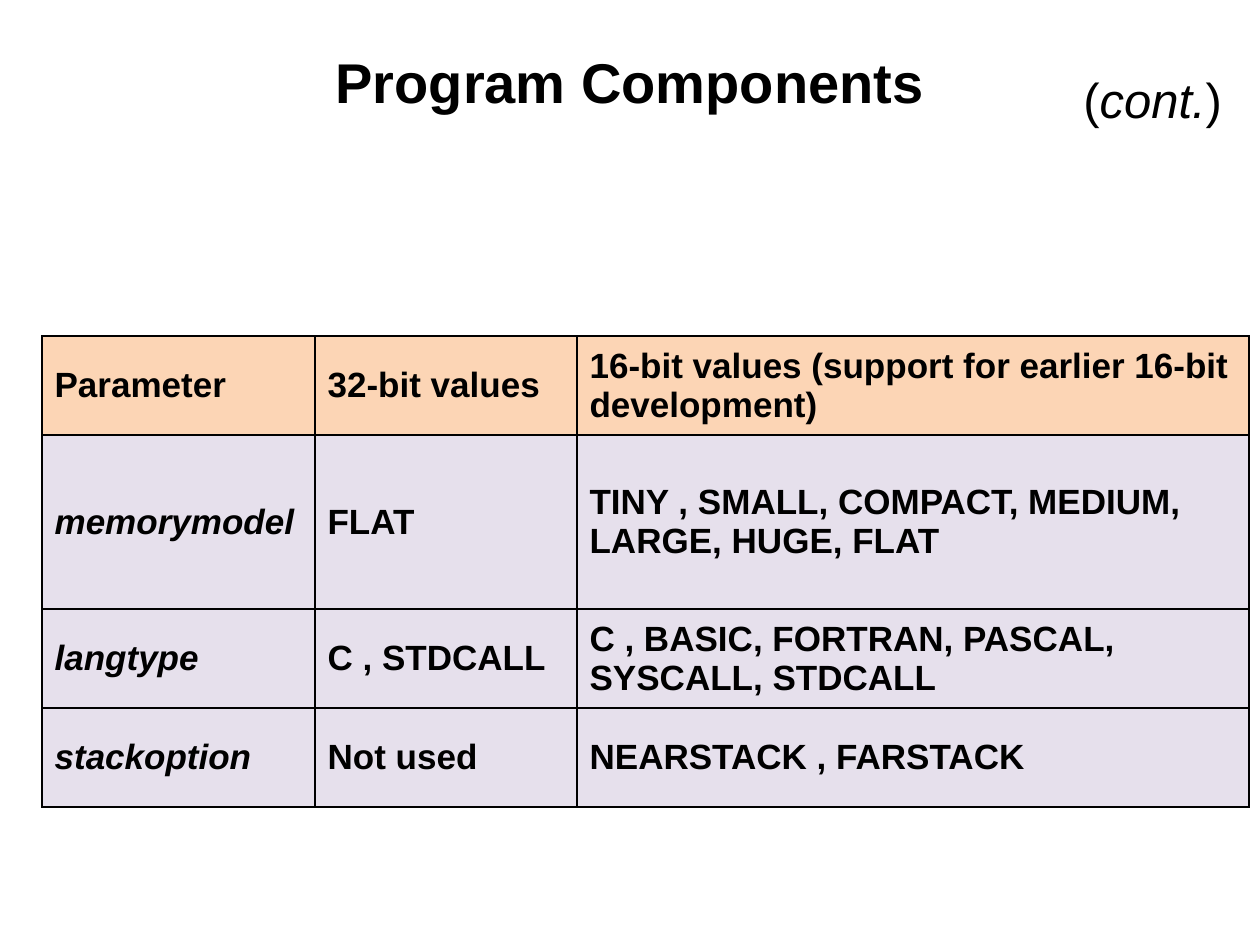
from lxml.etree import SubElement
from pptx import Presentation
from pptx.dml.color import RGBColor
from pptx.enum.text import MSO_ANCHOR, PP_ALIGN
from pptx.oxml.ns import qn
from pptx.util import Emu, Pt

TITLE = "Program Components"
CONTINUED = [("(", False), ("cont.", True), (")", False)]
ROWS = [
    ("Parameter", "32-bit values",
     "16-bit values (support for earlier 16-bit development)"),
    ("memorymodel", "FLAT",
     "TINY , SMALL, COMPACT, MEDIUM, LARGE, HUGE, FLAT"),
    ("langtype", "C , STDCALL",
     "C , BASIC, FORTRAN, PASCAL, SYSCALL, STDCALL"),
    ("stackoption", "Not used", "NEARSTACK , FARSTACK"),
]
COL_WIDTHS = [273, 262, 672]
ROW_HEIGHTS = [99, 174, 99, 99]
COLORS = {"text": "000000", "border": "000000",
          "header": "FCD5B5", "body": "E6E0EC"}
FONT = "Arial"


def px(n):
    return Emu(round(n * 914400 / 126))


def box(*lengths):
    return [px(n) for n in lengths]


def add_run(p, text, size, bold=False, italic=False):
    r = p.add_run()
    r.text = text
    r.font.name = FONT
    r.font.size = Pt(size)
    r.font.bold = bold
    r.font.italic = italic
    r.font.color.rgb = RGBColor.from_string(COLORS["text"])


def add_borders(cell):
    """Put the four border lines ahead of the cell's fill, as the schema asks."""
    tcPr = cell._tc.get_or_add_tcPr()
    for i, side in enumerate(("lnL", "lnR", "lnT", "lnB")):
        ln = SubElement(tcPr, qn(f"a:{side}"), w=str(Pt(1)))
        fill = SubElement(ln, qn("a:solidFill"))
        SubElement(fill, qn("a:srgbClr"), val=COLORS["border"])
        tcPr.insert(i, ln)


prs = Presentation()
prs.slide_width, prs.slide_height = box(1260, 945)
s = prs.slides.add_slide(prs.slide_layouts[5])

title = s.shapes.title
title.left, title.top, title.width, title.height = box(63, 21, 1134, 120)
tf = title.text_frame
tf.vertical_anchor = MSO_ANCHOR.MIDDLE
tf.paragraphs[0].alignment = PP_ALIGN.CENTER
add_run(tf.paragraphs[0], TITLE, 32, bold=True)

table = s.shapes.add_table(len(ROWS), len(COL_WIDTHS),
                           *box(42, 336, sum(COL_WIDTHS), sum(ROW_HEIGHTS))).table
for col, width in zip(table.columns, COL_WIDTHS):
    col.width = px(width)
for row, height in zip(table.rows, ROW_HEIGHTS):
    row.height = px(height)
for i, texts in enumerate(ROWS):
    for j, text in enumerate(texts):
        cell = table.cell(i, j)
        cell.vertical_anchor = MSO_ANCHOR.MIDDLE
        cell.fill.solid()
        cell.fill.fore_color.rgb = RGBColor.from_string(
            COLORS["body" if i else "header"])
        add_borders(cell)
        add_run(cell.text_frame.paragraphs[0], text, 20, bold=True,
                italic=i > 0 and j == 0)

tf = s.shapes.add_textbox(*box(1071, 63, 179, 73)).text_frame
tf.word_wrap = True
for text, italic in CONTINUED:
    add_run(tf.paragraphs[0], text, 28, italic=italic)

prs.save("out.pptx")
